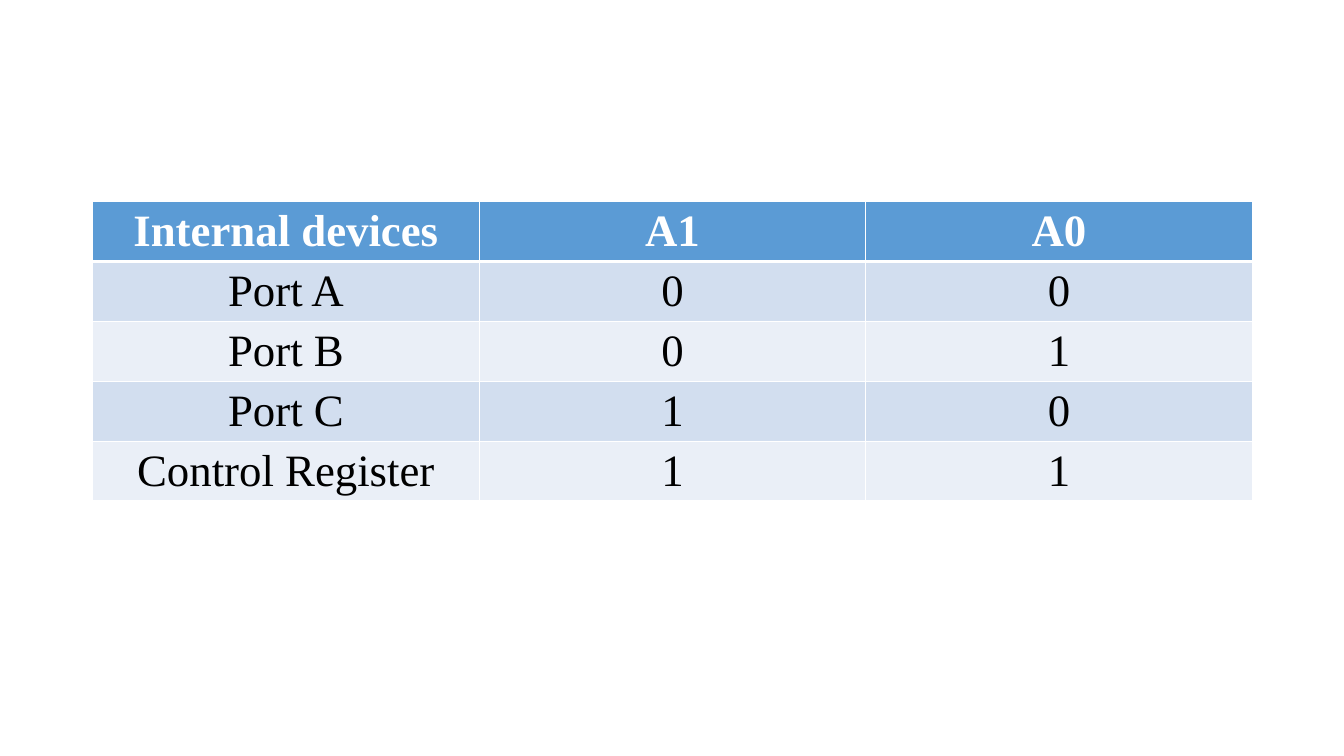
import pptx
import pptx.dml.color
import pptx.enum.text
import pptx.oxml
import pptx.oxml.ns
import pptx.util

Inches = pptx.util.Inches
RGBColor = pptx.dml.color.RGBColor

WHITE = RGBColor(0xFF, 0xFF, 0xFF)
BLACK = RGBColor(0x00, 0x00, 0x00)
HEADER_BLUE = RGBColor(0x5B, 0x9B, 0xD5)
BAND_DARK = RGBColor(0xD2, 0xDE, 0xEF)
BAND_LIGHT = RGBColor(0xEA, 0xEF, 0xF7)

PORT_ADDRESSES = [
    ("Internal devices", "A1", "A0"),
    ("Port A", "0", "0"),
    ("Port B", "0", "1"),
    ("Port C", "1", "0"),
    ("Control Register", "1", "1"),
]


def add_border(cell, side, points):
    border = pptx.oxml.parse_xml(
        f'<a:ln{side} {pptx.oxml.ns.nsdecls("a")} w="{pptx.util.Pt(points)}">'
        f'<a:solidFill><a:srgbClr val="{WHITE}"/></a:solidFill></a:ln{side}>'
    )
    cell._tc.get_or_add_tcPr().append(border)


def format_cell(cell, text, row_index):
    is_header = row_index == 0
    widths = {
        "L": 1,
        "R": 1,
        "T": 3 if row_index == 1 else 1,
        "B": 3 if is_header else 1,
    }
    for side, points in widths.items():
        add_border(cell, side, points)
    cell.fill.solid()
    band = BAND_DARK if row_index % 2 else BAND_LIGHT
    cell.fill.fore_color.rgb = HEADER_BLUE if is_header else band
    cell.text = text
    paragraph = cell.text_frame.paragraphs[0]
    paragraph.alignment = pptx.enum.text.PP_ALIGN.CENTER
    paragraph.font.name = "Times New Roman"
    paragraph.font.size = pptx.util.Pt(32)
    paragraph.font.bold = is_header
    paragraph.font.color.rgb = WHITE if is_header else BLACK


def add_address_table(slide, left, top, width, height):
    table = slide.shapes.add_table(
        len(PORT_ADDRESSES), len(PORT_ADDRESSES[0]), left, top, width, height
    ).table
    for row_index, values in enumerate(PORT_ADDRESSES):
        for column_index, text in enumerate(values):
            format_cell(table.cell(row_index, column_index), text, row_index)


def main():
    presentation = pptx.Presentation()
    presentation.slide_width = Inches(13.33)
    presentation.slide_height = Inches(7.5)
    slide = presentation.slides.add_slide(presentation.slide_layouts[6])
    add_address_table(slide, Inches(0.92), Inches(2), Inches(11.5), Inches(2.95))
    presentation.save("out.pptx")


if __name__ == "__main__":
    main()
